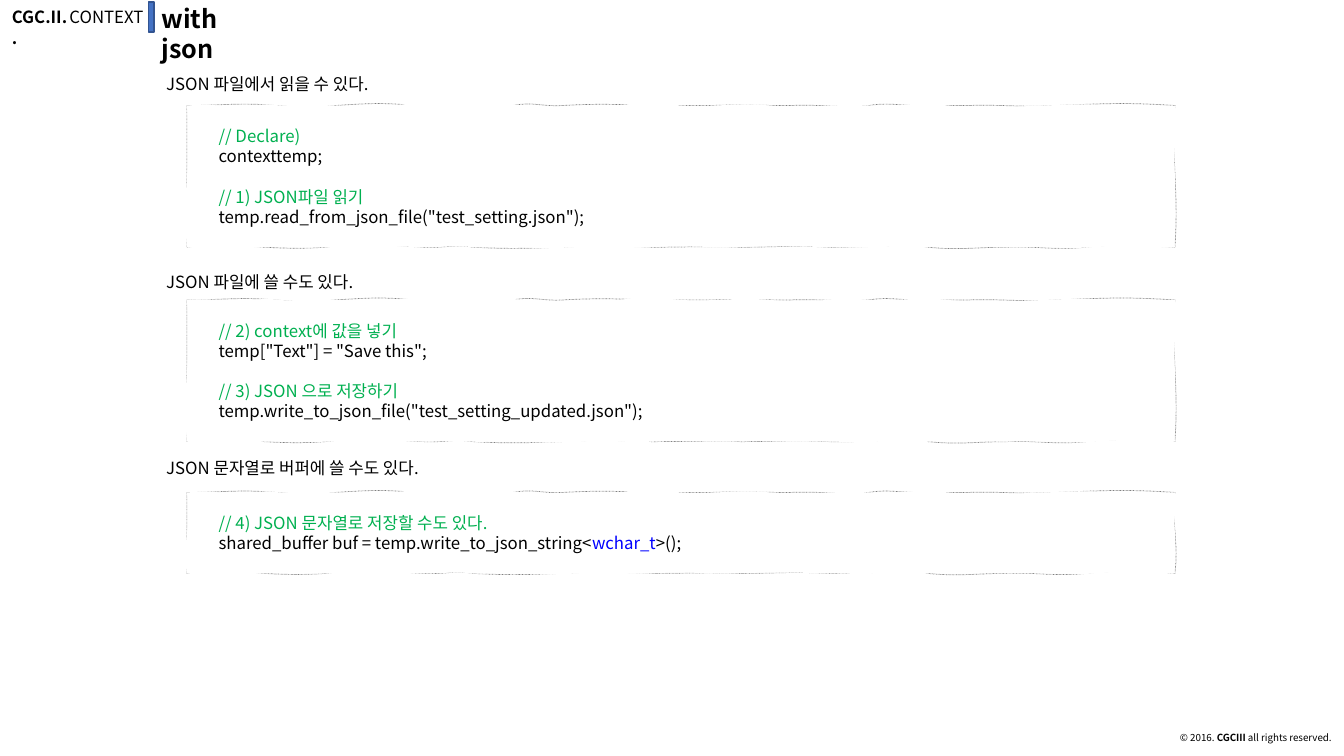
from lxml import etree
from pptx import Presentation
from pptx.dml.color import RGBColor
from pptx.enum.dml import MSO_LINE
from pptx.enum.shapes import MSO_SHAPE
from pptx.enum.text import MSO_ANCHOR, MSO_AUTO_SIZE, PP_ALIGN
from pptx.oxml.ns import qn
from pptx.util import Cm, Pt

TOP = MSO_ANCHOR.TOP
NO_FIT = MSO_AUTO_SIZE.NONE
LEFT, RIGHT = PP_ALIGN.LEFT, PP_ALIGN.RIGHT
RECTANGLE = MSO_SHAPE.RECTANGLE
SHORT_DASH = MSO_LINE.ROUND_DOT

BLACK = RGBColor(0, 0, 0)
WHITE = RGBColor(255, 255, 255)
GRAY = RGBColor(0x80, 0x80, 0x80)
GREEN = RGBColor(0, 0xB0, 0x50)
KEYWORD_BLUE = RGBColor(0, 0, 255)
BAR_BLUE = RGBColor(0x44, 0x72, 0xC4)
BAR_EDGE = RGBColor(0x32, 0x54, 0x91)
FONT = "Noto Sans CJK KR"

BODY = {"size": Pt(12), "bold": False}
STRONG = {"size": Pt(12), "bold": True}
HEADLINE = {"size": Pt(18), "bold": True}
SMALL = {"size": Pt(7), "bold": False}
SMALL_STRONG = {"size": Pt(7), "bold": True}

# Hand-drawn edges, clockwise from the top left corner: top, right, bottom, left.
# Each wave: its end (share of the side) and two control offsets in cm.
PEN_WAVES = [
    [(.09, 0, -.08), (.15, .05, .05), (.23, -.05, -.08), (.33, .08, .08),
     (.38, -.1, .03), (.47, -.05, -.03), (.53, 0, 0), (.61, -.03, 0),
     (.69, -.03, .05), (.74, -.08, 0), (.79, 0, 0), (.88, -.03, .05),
     (1, -.05, -.08)],
    [(.47, -.08, -.03), (1, .03, .05)],
    [(.91, -.03, -.1), (.83, .08, -.03), (.75, 0, .08), (.65, -.1, .03),
     (.56, -.05, 0), (.47, -.03, 0), (.38, -.03, -.05), (.29, .03, .05),
     (.24, -.08, .03), (.14, -.05, -.13), (0, .1, -.13)],
    [(.53, .03, -.03), (0, 0, 0)],
]
PAPER_WAVES = [
    [(.07, -.05, .05), (.11, -.08, .05), (.21, -.05, .08), (.28, -.1, -.05),
     (.34, .05, -.08), (.44, .05, .1), (.5, -.13, -.05), (.59, .05, -.08),
     (.69, .08, -.05), (.77, .05, -.1), (.87, .08, .03), (.93, -.03, -.05),
     (1, .03, .03)],
    [(.51, 0, -.03), (1, .03, -.08)],
    [(.92, .05, -.08), (.83, .05, -.03), (.75, 0, -.1), (.7, .08, -.05),
     (.65, .03, 0), (.55, -.03, -.03), (.47, 0, -.05), (.41, .03, -.03),
     (.34, 0, .05), (.29, -.08, .03), (.24, -.05, 0), (.17, -.03, 0),
     (.11, -.03, .03), (0, -.05, .13)],
    [(.52, -.05, -.05), (0, .05, .08)],
]

# Caption top, caption, frame top, frame height, code lines, all lengths in cm
SECTIONS = [
    (1.73, "JSON 파일에서 읽을 수 있다.", 2.66, 3.57, [
        [("// Declare)", GREEN)],
        [("contexttemp;", BLACK)],
        [("// 1) JSON파일 읽기", GREEN)],
        [('temp.read_from_json_file("test_setting.json");', BLACK)],
    ]),
    (6.73, "JSON 파일에 쓸 수도 있다.", 7.56, 3.57, [
        [("// 2) context에 값을 넣기", GREEN)],
        [('temp["Text"] = "Save this";', BLACK)],
        [("// 3) JSON 으로 저장하기", GREEN)],
        [('temp.write_to_json_file("test_setting_updated.json");', BLACK)],
    ]),
    (11.41, "JSON 문자열로 버퍼에 쓸 수도 있다.", 12.41, 2.04, [
        [("// 4) JSON 문자열로 저장할 수도 있다.", GREEN)],
        [("shared_buffer buf = temp.write_to_json_string<", BLACK),
         ("wchar_t", KEYWORD_BLUE), (">();", BLACK)],
    ]),
]


def add_span(para, text, color=BLACK, style=BODY):
    span = para.add_run()
    span.text = text
    span.font.name = FONT
    span.font.color.rgb = color
    for name, value in style.items():
        setattr(span.font, name, value)


def format_frame(frame, **margins):
    values = {"word_wrap": True, "auto_size": NO_FIT, "vertical_anchor": TOP,
              "margin_left": Cm(.25), "margin_right": Cm(.25),
              "margin_top": Cm(.13), "margin_bottom": Cm(.13)}
    for name, value in {**values, **margins}.items():
        setattr(frame, name, value)


def add_label(page, left, top, width, height, spans, align=LEFT):
    box = page.shapes.add_textbox(Cm(left), Cm(top), Cm(width), Cm(height))
    format_frame(box.text_frame)
    para = box.text_frame.paragraphs[0]
    para.alignment = align
    for text, style in spans:
        add_span(para, text, style=style)
    return para


def add_point(parent, x, y):
    etree.SubElement(parent, qn("a:pt"), x=str(Cm(x)), y=str(Cm(y)))


def add_wavy_path(path_list, width, height, sides, **painting):
    path = etree.SubElement(path_list, qn("a:path"), w=str(Cm(width)),
                            h=str(Cm(height)), **painting)
    add_point(etree.SubElement(path, qn("a:moveTo")), 0, 0)
    fixed_edges = (0, width, height, 0)
    for index, (waves, edge) in enumerate(zip(sides, fixed_edges)):
        vertical = index % 2 == 1
        length = height if vertical else width
        start = 0 if index < 2 else 1
        for end, first, second in waves:
            curve = etree.SubElement(path, qn("a:cubicBezTo"))
            for t, offset in ((.4, first), (.6, second), (1, 0)):
                along = length * (start + (end - start) * t)
                across = edge + offset
                x, y = (across, along) if vertical else (along, across)
                add_point(curve, x, y)
            start = end
    etree.SubElement(path, qn("a:close"))


def add_sketched_frame(page, left, top, width, height):
    """Draw a wavy dashed outline, partly hidden by wavy white paper."""
    right, bottom = left + width, top + height
    builder = page.shapes.build_freeform(Cm(left), Cm(top))
    corners = [(right, top), (right, bottom), (left, bottom)]
    builder.add_line_segments([(Cm(x), Cm(y)) for x, y in corners], close=True)
    shape = builder.convert_to_shape()
    path_list = shape._element.spPr.find(".//" + qn("a:pathLst"))
    path_list.clear()
    add_wavy_path(path_list, width, height, PEN_WAVES, fill="none")
    add_wavy_path(path_list, width, height, PAPER_WAVES, stroke="0")
    shape.shadow.inherit = False
    shape.fill.solid()
    shape.fill.fore_color.rgb = WHITE
    shape.line.color.rgb = GRAY
    shape.line.width = Pt(.5)
    shape.line.dash_style = SHORT_DASH
    return shape


def add_code(page, left, top, width, height, lines):
    frame = add_sketched_frame(page, left, top, width, height).text_frame
    format_frame(frame, margin_left=Cm(.8), margin_right=Cm(.8),
                 margin_top=Cm(.51), margin_bottom=Cm(.51))
    for index, line in enumerate(lines):
        para = frame.add_paragraph() if index else frame.paragraphs[0]
        para.alignment = LEFT
        if index and line[0][1] == GREEN:
            para.space_before = Pt(14.4)
        for text, color in line:
            add_span(para, text, color)


def add_header(page, left, top):
    add_label(page, left, top, 1.96, .76, [("CGC.II..", STRONG)])
    add_label(page, left + 1.45, top, 2.39, .76, [("CONTEXT", BODY)])
    bar = page.shapes.add_shape(RECTANGLE, Cm(left + 3.7), Cm(top),
                                Cm(.13), Cm(.76))
    bar.shadow.inherit = False
    bar.fill.solid()
    bar.fill.fore_color.rgb = BAR_BLUE
    bar.line.color.rgb = BAR_EDGE
    bar.line.width = Pt(1)

    title = page.shapes.title
    title.left, title.top = Cm(left + 3.77), Cm(top - .1)
    title.width, title.height = Cm(3.1), Cm(1.02)
    format_frame(title.text_frame)
    para = title.text_frame.paragraphs[0]
    para.alignment = LEFT
    para.line_spacing = 1.0
    add_span(para, "with json", style=HEADLINE)


def add_footer(page, left, top, width, height):
    para = add_label(page, left, top, width, height, [
        ("© 2016. ", SMALL), ("CGCIII", SMALL_STRONG),
        (" all rights reserved.", SMALL)], RIGHT)
    para.line_spacing = .9


def main():
    deck = Presentation()
    deck.slide_width, deck.slide_height = Cm(33.87), Cm(19.05)
    page = deck.slides.add_slide(deck.slide_layouts[5])
    add_header(page, .05, .05)
    for caption_top, caption, frame_top, height, lines in SECTIONS:
        add_label(page, 3.94, caption_top, 19.89, .76, [(caption, BODY)])
        add_code(page, 4.71, frame_top, 24.9, height, lines)
    add_footer(page, 27.08, 18.34, 6.73, .66)
    deck.save("out.pptx")


if __name__ == "__main__":
    main()
